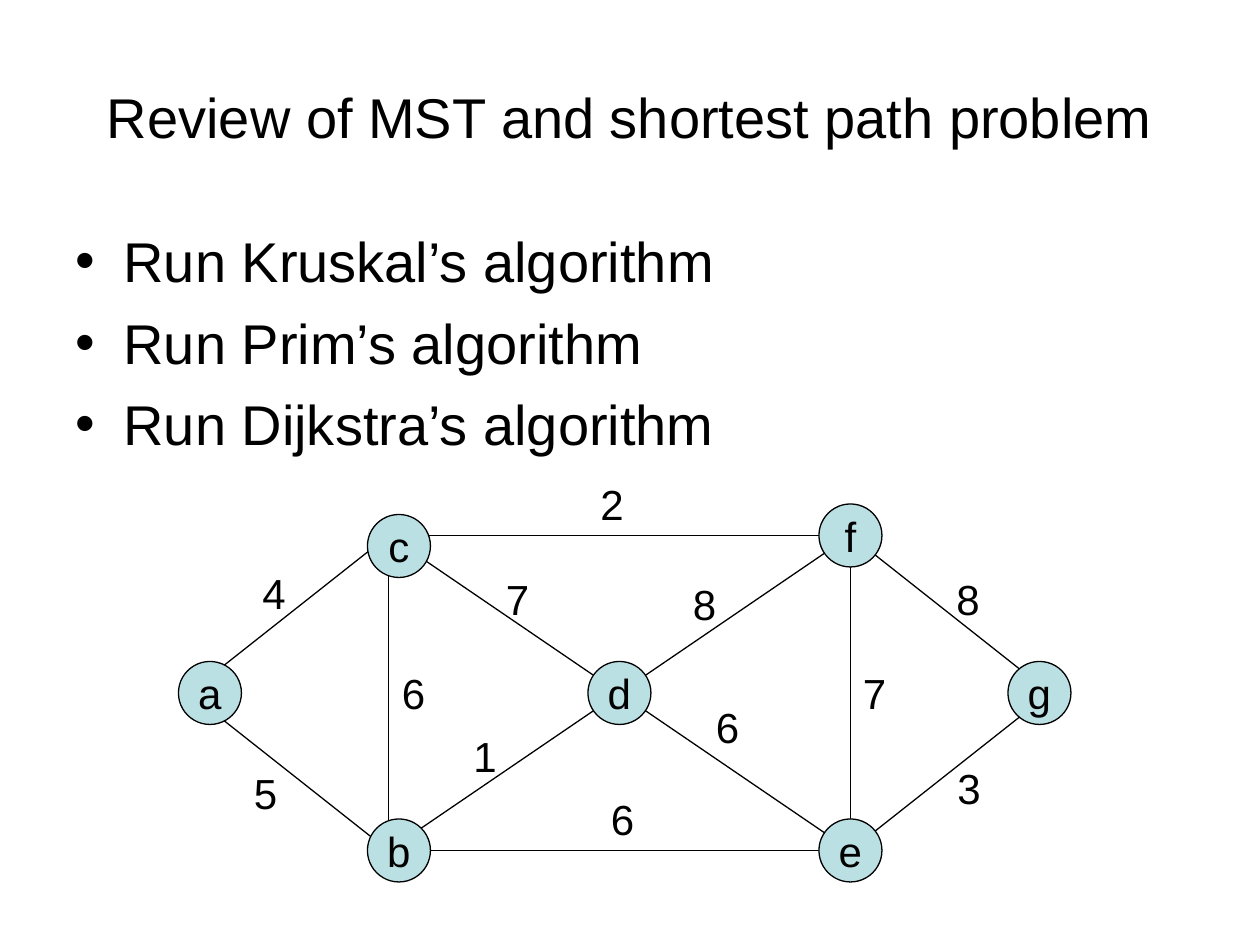
from lxml.etree import SubElement
from pptx import Presentation
from pptx.dml.color import RGBColor
from pptx.enum.shapes import MSO_CONNECTOR as Connector, MSO_SHAPE as Shape
from pptx.enum.text import MSO_ANCHOR as Anchor, MSO_AUTO_SIZE as AutoSize, PP_ALIGN as Align
from pptx.oxml.ns import qn
from pptx.util import Inches, Pt

COLUMNS_PER_INCH = 12
BLACK, NODE_FILL = "000000", "BBE0E3"
LEFT, RIGHT, TOP, BOTTOM = 37, 81, 51, 81
NODE_SIZE = 6

ITEMS = ["Run Kruskal’s algorithm", "Run Prim’s algorithm", "Run Dijkstra’s algorithm"]
EDGES = [
    (RIGHT, TOP, LEFT, BOTTOM), (LEFT, TOP, RIGHT, BOTTOM),
    (LEFT, TOP, 18, 66), (LEFT, BOTTOM, 18, 66),
    (RIGHT, TOP, 100, 66), (RIGHT, BOTTOM, 100, 66),
]
NODES = {"a": (17, 63), "c": (35, 49), "b": (35, 78), "f": (78, 48),
         "e": (78, 78), "d": (56, 63), "g": (96, 63)}
WEIGHTS = [
    ("4", 23.8, 53.5), ("5", 23, 72.5), ("6", 37.1, 63), ("1", 43.9, 69),
    ("6", 57, 75), ("2", 56, 45), ("8", 64.8, 54.5), ("6", 67, 66.2),
    ("8", 89.9, 54), ("3", 90, 72), ("7", 81, 63), ("7", 47, 54),
]


def color(code):
    return RGBColor.from_string(code)


def grid(*cells):
    return [Inches(cell / COLUMNS_PER_INCH) for cell in cells]


def set_all(target, values):
    for name, value in values.items():
        setattr(target, name, value)


def place(box, *cells):
    set_all(box, dict(zip(("left", "top", "width", "height"), grid(*cells))))


def write(box, lines, size, frame_format, para_format):
    frame = box.text_frame
    set_all(frame, frame_format)
    for index, line in enumerate(lines):
        para = frame.add_paragraph() if index else frame.paragraphs[0]
        set_all(para, para_format)
        span = para.add_run()
        span.text = line
        set_all(span.font, {"size": Pt(size), "name": "Arial"})
        span.font.color.rgb = color(BLACK)


def outline(shape):
    shape.line.color.rgb = color(BLACK)
    shape.line.width = Pt(0.75)


def add_title(page, text):
    title = page.shapes.title
    place(title, 6, 3.6, 108, 15)
    write(title, [text], 32,
          {"auto_size": AutoSize.NONE, "vertical_anchor": Anchor.MIDDLE},
          {"alignment": Align.CENTER})


def add_list(page, items):
    body = page.placeholders[1]
    place(body, 6, 21, 108, 59.4)
    write(body, items, 32, {"auto_size": AutoSize.NONE}, {"space_before": Pt(8)})
    for para in body.text_frame.paragraphs:
        properties = para._p.get_or_add_pPr()
        properties.set("marL", str(Inches(0.38)))
        properties.set("indent", str(Inches(-0.38)))
        SubElement(properties, qn("a:buChar"), char="•")


def add_frame(page):
    frame = page.shapes.add_shape(Shape.RECTANGLE, *grid(LEFT, TOP, RIGHT - LEFT, BOTTOM - TOP))
    frame.shadow.inherit = False
    frame.fill.background()
    outline(frame)


def add_edge(page, *ends):
    edge = page.shapes.add_connector(Connector.STRAIGHT, *grid(*ends))
    outline(edge)
    SubElement(edge._element.spPr, qn("a:effectLst"))


def add_node(page, name, column, row):
    node = page.shapes.add_shape(Shape.OVAL, *grid(column, row, NODE_SIZE, NODE_SIZE))
    node.shadow.inherit = False
    node.fill.solid()
    node.fill.fore_color.rgb = color(NODE_FILL)
    outline(node)
    write(node, [name], 24,
          {"word_wrap": False, "vertical_anchor": Anchor.MIDDLE},
          {"alignment": Align.CENTER})


def add_weight(page, text, column, row):
    box = page.shapes.add_textbox(*grid(column, row, 4.5, 6))
    write(box, [text], 24,
          {"word_wrap": False, "auto_size": AutoSize.SHAPE_TO_FIT_TEXT}, {})


def main():
    deck = Presentation()
    set_all(deck, {"slide_width": Inches(10), "slide_height": Inches(7.5)})
    page = deck.slides.add_slide(deck.slide_layouts[1])
    add_title(page, "Review of MST and shortest path problem")
    add_list(page, ITEMS)
    add_frame(page)
    for edge in EDGES:
        add_edge(page, *edge)
    for name, cell in NODES.items():
        add_node(page, name, *cell)
    for weight in WEIGHTS:
        add_weight(page, *weight)
    deck.save("out.pptx")


if __name__ == "__main__":
    main()
